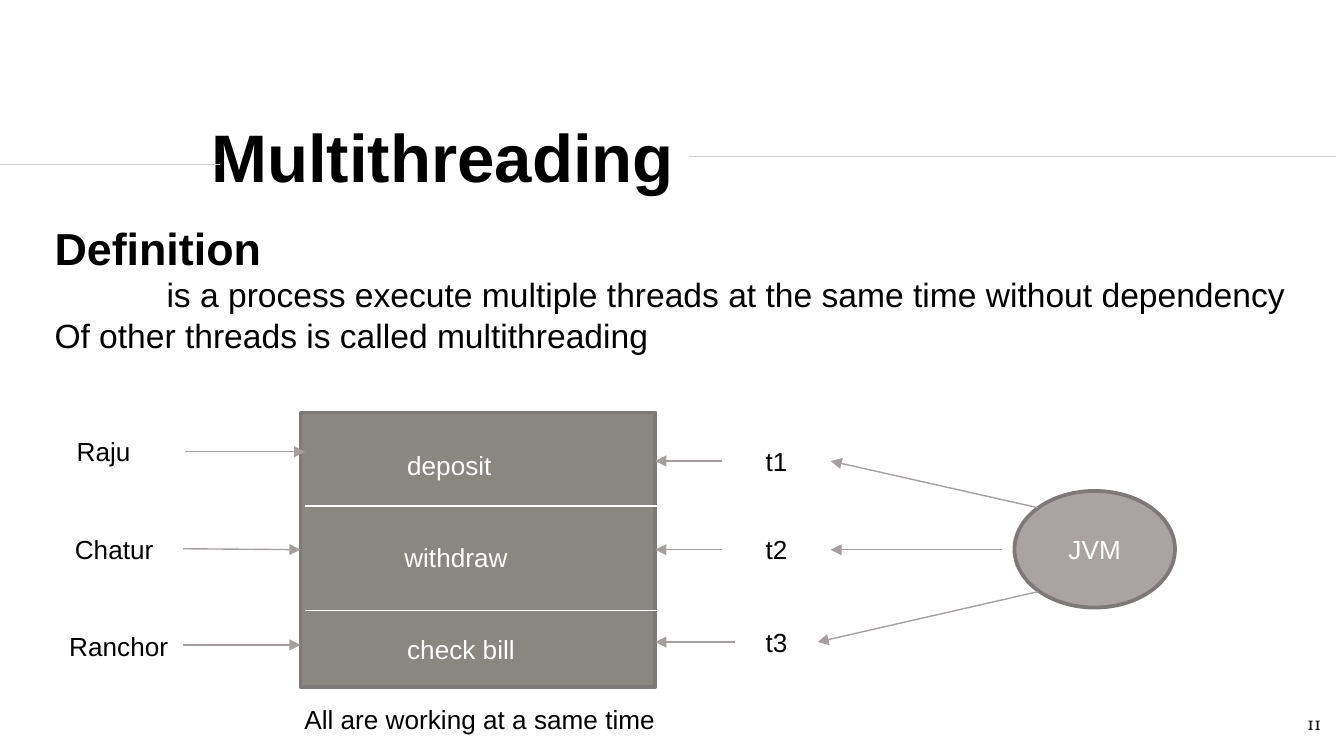
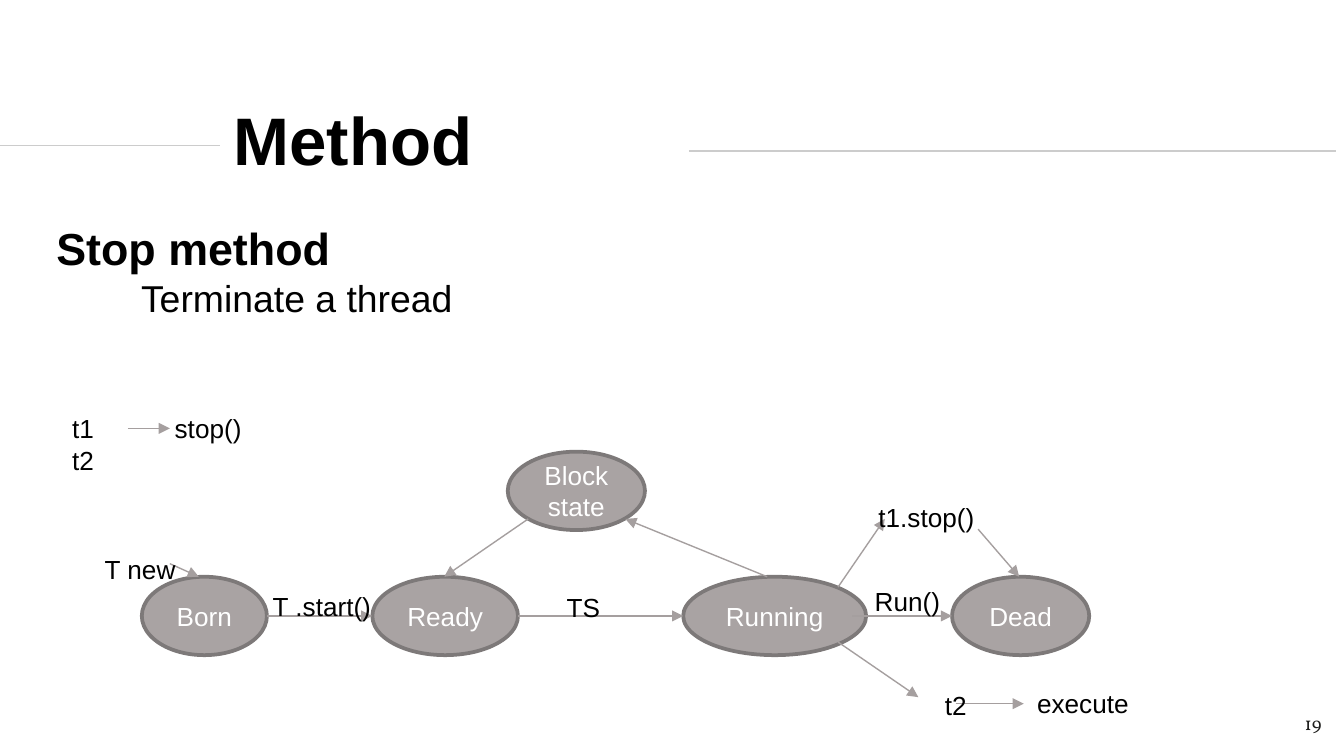
from lxml.etree import SubElement
from pptx import Presentation
from pptx.dml.color import RGBColor
from pptx.enum.shapes import MSO_CONNECTOR, MSO_SHAPE
from pptx.enum.text import MSO_ANCHOR, MSO_AUTO_SIZE, PP_ALIGN
from pptx.oxml.ns import qn
from pptx.util import Pt

BLACK = RGBColor(0x00, 0x00, 0x00)
WHITE = RGBColor(0xFF, 0xFF, 0xFF)
NUMBER = RGBColor(0x1D, 0x1D, 0x1B)
RULE = RGBColor(0xCC, 0xCC, 0xCC)
ARROW = RGBColor(0xA5, 0x9F, 0x9F)
NODE = RGBColor(0xA9, 0xA3, 0xA3)
PANEL = RGBColor(0x8A, 0x86, 0x82)
OUTLINE = RGBColor(0x7D, 0x79, 0x79)


def write(sp, text, box=None, size=14, color=BLACK, bold=False,
          align=PP_ALIGN.LEFT, anchor=MSO_ANCHOR.TOP, inset=None, font="Arial"):
    """Place a shape at box (left, top, width, height) and fill in its text."""
    if box:
        sp.left, sp.top, sp.width, sp.height = (Pt(v) for v in box)
    tf = sp.text_frame
    tf.text = text
    tf.word_wrap = True
    tf.auto_size = MSO_AUTO_SIZE.NONE
    tf.vertical_anchor = anchor
    if inset is not None:
        tf.margin_left = tf.margin_right = tf.margin_top = tf.margin_bottom = Pt(inset)
    for p in tf.paragraphs:
        p.alignment = align
        p.space_before = Pt(0)
        for r in p.runs:
            r.font.name = font
            r.font.size = Pt(size)
            r.font.bold = bold
            r.font.color.rgb = color


def add_line(s, x1, y1, x2, y2, color=ARROW, arrow=True):
    line = s.shapes.add_connector(MSO_CONNECTOR.STRAIGHT, Pt(x1), Pt(y1), Pt(x2), Pt(y2))
    line.line.color.rgb = color
    line.line.width = Pt(0.75)
    if arrow:
        SubElement(line.line._get_or_add_ln(), qn("a:tailEnd"), type="triangle")
    SubElement(line._element.spPr, qn("a:effectLst"))


multithreading = {
    "title": "Multithreading", "title_box": (106, 66, 305, 35),
    "rules": (88, 84), "number": "11",
    "body": "Definition\n"
            "is a process execute multiple threads at the same time without dependency\n"
            "Of other threads is called multithreading",
    "body_box": (22, 114.5, 693, 80),
    "panel": (161, 221, 190, 147), "dividers": (271, 327),
    "nodes": [("JVM", 543.5, 263, 86, 62.5)],
    "arrows": [
        (387, 247, 351, 247), (387, 294.5, 351, 294.5), (394, 344, 351, 344),
        (556, 272, 445, 247), (537, 294.5, 445, 294.5), (556, 317, 438, 344),
        (99, 242, 163.5, 242), (98, 294, 161, 294.5), (98, 345.5, 161, 345.5),
    ],
    "labels": [
        ("t1", 405, 235, 22), ("t2", 405, 282, 22), ("t3", 405, 332, 22),
        ("deposit", 211, 237, 99), ("withdraw", 209.5, 286.5, 99),
        ("check bill", 211, 335.5, 99),
        ("Raju", 34, 229.5, 65), ("Chatur", 33, 282, 65), ("Ranchor", 30, 334, 87),
        ("All are working at a same time", 156, 373.5, 213),
    ],
}
# Thread names sit centred in wide boxes
multithreading["labels"][:3] = [
    ("t1", 387, 235, 58), ("t2", 387, 282, 58), ("t3", 394, 332, 44)]

method = {
    "title": "Method", "title_box": (118, 57, 173.5, 35),
    "rules": (78, 81), "number": "19",
    "body": "Stop method", "body_box": (23, 114.5, 196, 36),
    "nodes": [
        ("Born", 76, 309, 67, 42), ("Ready", 199.5, 309, 78, 42),
        ("Block\nstate", 272, 242, 73.5, 42), ("Running", 366, 309, 98, 42),
        ("Dead", 510, 309, 73.5, 42),
    ],
    "arrows": [
        (143, 330, 199.5, 330), (277.5, 330, 366, 330), (456.5, 330, 510, 330),
        (411, 309, 335, 278), (283, 278, 238, 309), (91, 302, 106.5, 309),
        (68.5, 229.5, 91, 229.5), (449, 314.5, 474, 278), (524, 283.5, 546, 309),
        (449, 344, 492, 373.5), (512, 377, 548.5, 377),
    ],
    "labels": [
        ("T new", 49, 293, 83), ("T .start()", 139, 312.5, 83),
        ("Run()", 461.5, 310, 83), ("TS", 296.5, 313, 35),
        ("t1\nt2", 31.5, 217.5, 37), ("stop()", 86.5, 217.5, 81),
        ("t1.stop()", 463.5, 265, 91), ("execute", 548.5, 364.5, 97),
        ("t2", 489, 366, 46),
    ],
}

ON_PANEL = {"deposit", "withdraw", "check bill"}
CENTRED = {"t1", "t2", "t3"}

prs = Presentation()
prs.slide_width, prs.slide_height = Pt(720), Pt(405)

for page in (multithreading, method):
    s = prs.slides.add_slide(prs.slide_layouts[1])
    left_rule, right_rule = page["rules"]
    add_line(s, 0, left_rule, 118, left_rule, RULE, arrow=False)
    add_line(s, 369, right_rule, 716, right_rule, RULE, arrow=False)
    write(s.shapes.title, page["title"], page["title_box"], size=36, bold=True,
          anchor=MSO_ANCHOR.MIDDLE, inset=7.2)
    number = s.shapes.add_textbox(0, 0, 0, 0)
    write(number, page["number"], (672, 374, 43, 31), size=10, color=NUMBER,
          align=PP_ALIGN.RIGHT, inset=7.2, font="Vollkorn")

    body = s.placeholders[1]
    write(body, page["body"], page["body_box"], size=18)
    for i, p in enumerate(body.text_frame.paragraphs):
        pPr = p._p.get_or_add_pPr()
        pPr.set("marL", "0")
        pPr.set("indent", str(Pt(60) if i == 1 else 0))
        SubElement(pPr, qn("a:buNone"))
    heading = body.text_frame.paragraphs[0].runs[0]
    heading.font.size = Pt(24)
    heading.font.bold = True

    if "panel" in page:
        panel = s.shapes.add_shape(MSO_SHAPE.RECTANGLE, *(Pt(v) for v in page["panel"]))
        panel.shadow.inherit = False
        panel.fill.solid()
        panel.fill.fore_color.rgb = PANEL
        panel.line.color.rgb = OUTLINE
        panel.line.width = Pt(2)
        for y in page["dividers"]:
            add_line(s, 163.5, y, 353.5, y, WHITE, arrow=False)

    for text, *box in page["nodes"]:
        node = s.shapes.add_shape(MSO_SHAPE.OVAL, *(Pt(v) for v in box))
        node.shadow.inherit = False
        node.fill.solid()
        node.fill.fore_color.rgb = NODE
        node.line.color.rgb = OUTLINE
        node.line.width = Pt(2)
        write(node, text, color=WHITE, align=PP_ALIGN.CENTER,
              anchor=MSO_ANCHOR.MIDDLE, inset=0)

    for ends in page["arrows"]:
        add_line(s, *ends)

    for text, x, y, w in page["labels"]:
        label = s.shapes.add_textbox(0, 0, 0, 0)
        write(label, text, (x, y, w, 24 * (1 + text.count("\n"))),
              color=WHITE if text in ON_PANEL else BLACK,
              align=PP_ALIGN.CENTER if text in CENTRED else PP_ALIGN.LEFT)

# The last slide explains its heading in a line of its own
explanation = s.shapes.add_textbox(0, 0, 0, 0)
write(explanation, "Terminate a thread", (68.5, 144, 631, 32), size=20)

prs.save("out.pptx")
